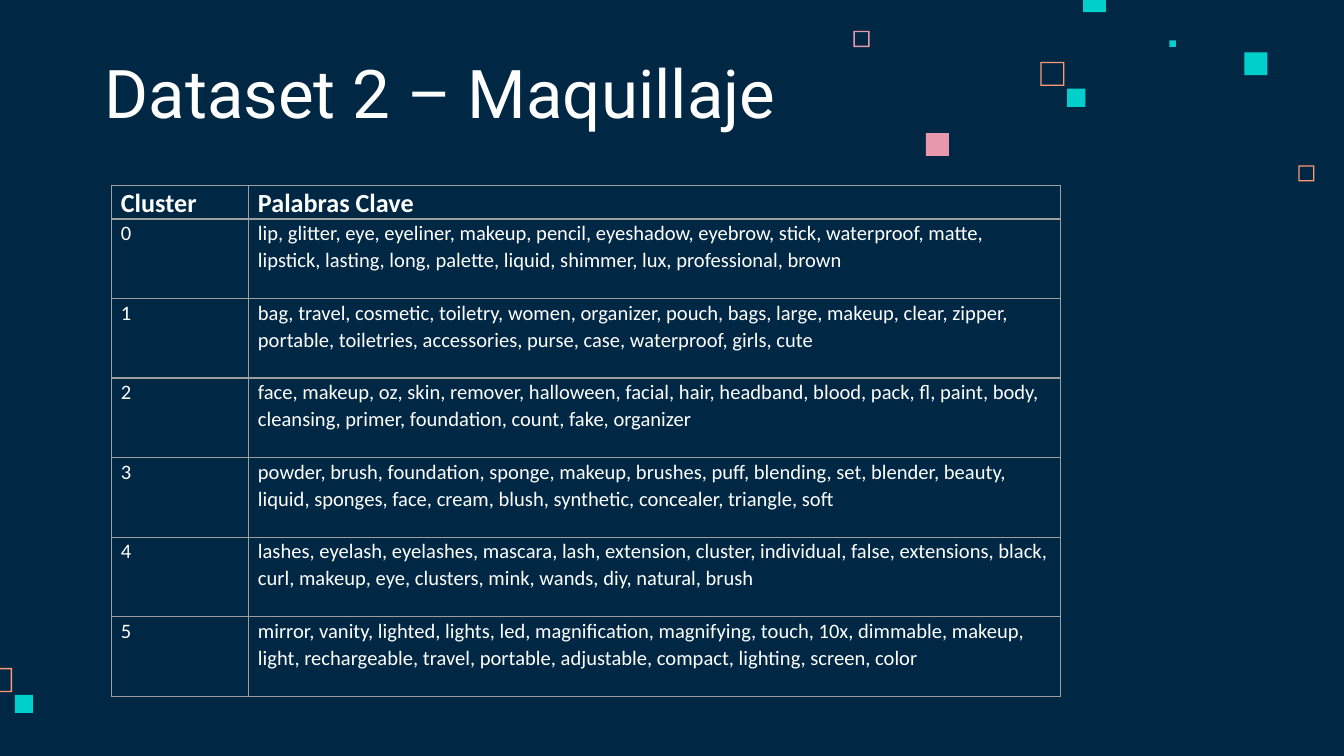
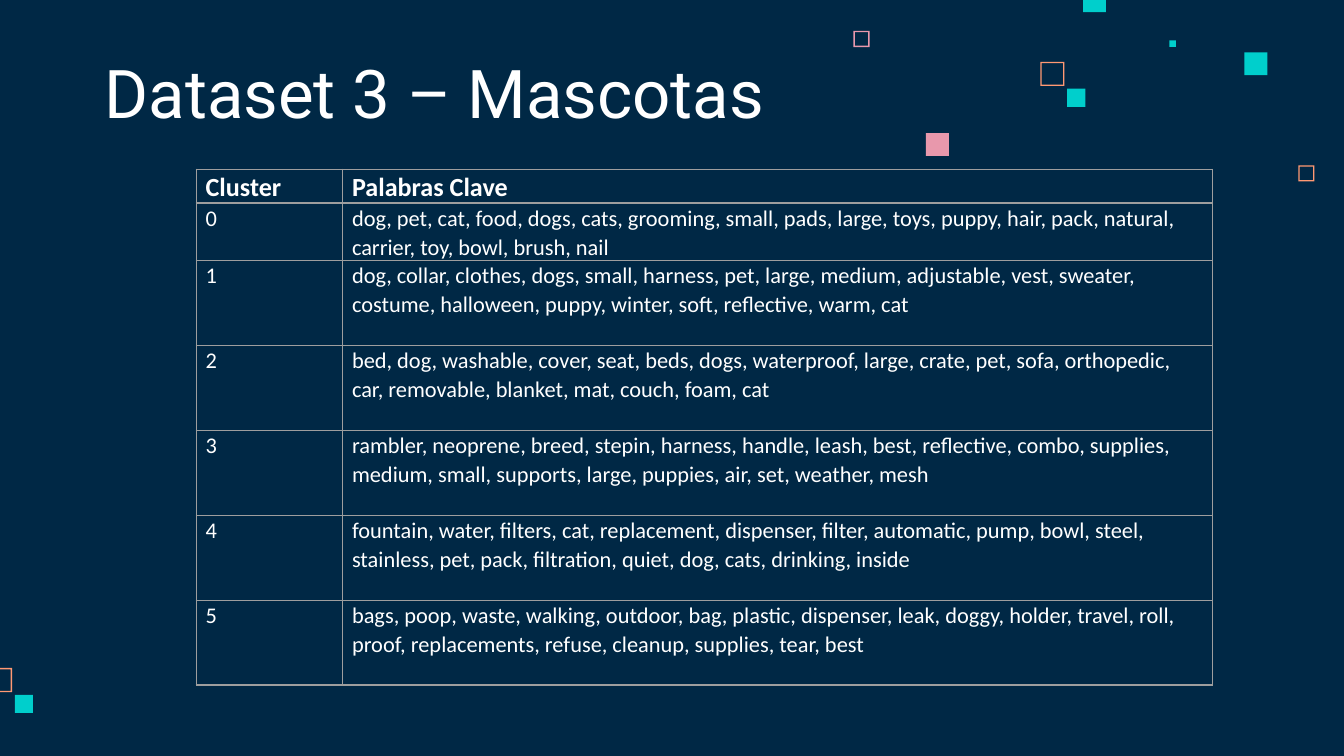
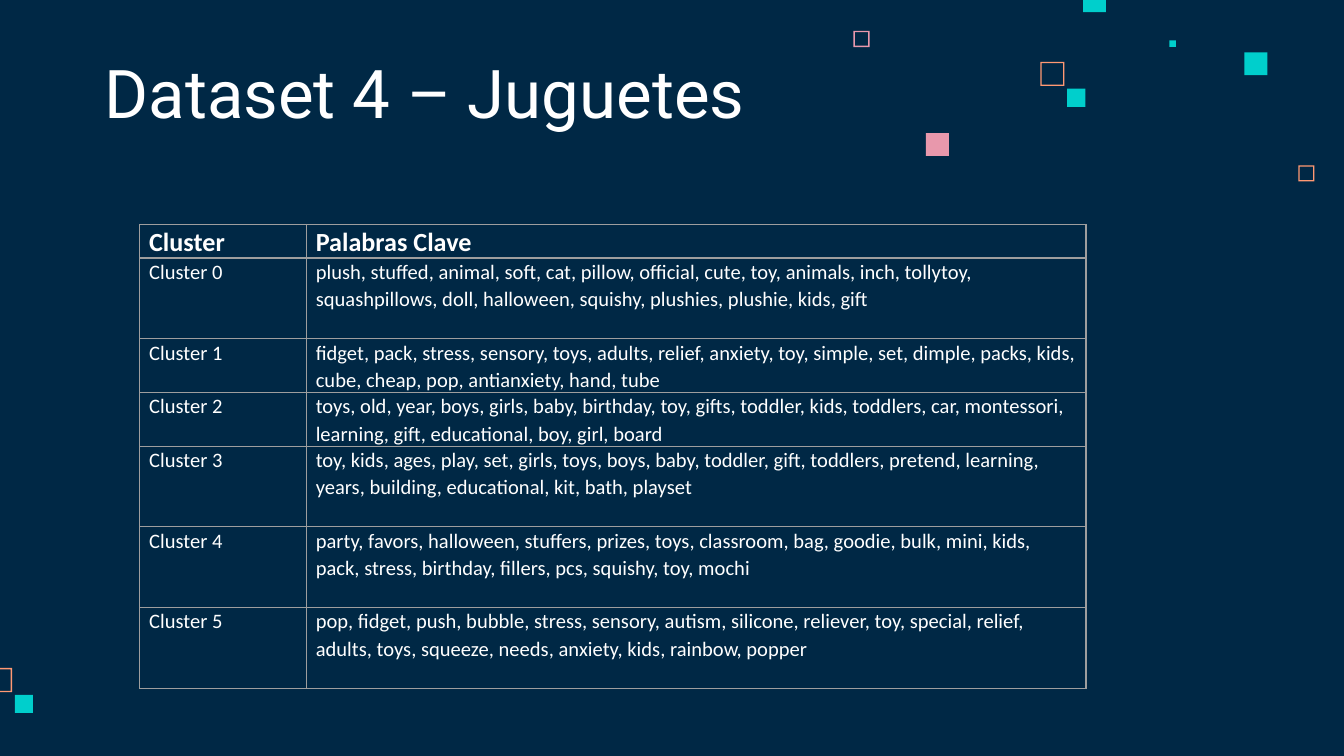
from dataclasses import dataclass

from lxml.etree import SubElement
from pptx import Presentation
from pptx.dml.color import RGBColor
from pptx.enum.shapes import MSO_SHAPE
from pptx.enum.text import MSO_ANCHOR
from pptx.oxml.ns import qn
from pptx.util import Inches, Pt


@dataclass(frozen=True)
class Theme:
    """Colours, fonts and type sizes of the deck."""

    navy: str = "002845"
    white: str = "FFFFFF"
    teal: str = "00CFCC"
    pink: str = "E898AC"
    orange: str = "FF9973"
    rule: str = "9E9E9E"
    title_font: str = "Roboto"
    body_font: str = "Calibri"
    title_size: int = 36
    head_size: int = 14
    rule_width: float = 0.75


THEME = Theme()

FRAMES = [
    (96.6, 12.3, 1.2, THEME.orange),
    (63.5, 2.3, 1.2, THEME.pink),
    (77.4, 4.6, 1.8, THEME.orange),
    (-0.9, 49.7, 1.8, THEME.orange),
]
SQUARES = [
    (87, 3, 0.5, THEME.teal),
    (80.6, -0.8, 1.7, THEME.teal),
    (92.6, 3.9, 1.7, THEME.teal),
    (79.4, 6.6, 1.35, THEME.teal),
    (68.9, 9.9, 1.7, THEME.pink),
    (1.1, 51.7, 1.35, THEME.teal),
]

SLIDES = [
    dict(
        title="Dataset 2 – Maquillaje", at=(8.3, 13.8), cols=(10.2, 60.4),
        rows=[2.4] + [5.92] * 6, size=11, label="{}",
        keywords=[
            "lip, glitter, eye, eyeliner, makeup, pencil, eyeshadow, eyebrow, stick, waterproof, matte, "
            "lipstick, lasting, long, palette, liquid, shimmer, lux, professional, brown",
            "bag, travel, cosmetic, toiletry, women, organizer, pouch, bags, large, makeup, clear, zipper, "
            "portable, toiletries, accessories, purse, case, waterproof, girls, cute",
            "face, makeup, oz, skin, remover, halloween, facial, hair, headband, blood, pack, fl, paint, body, "
            "cleansing, primer, foundation, count, fake, organizer",
            "powder, brush, foundation, sponge, makeup, brushes, puff, blending, set, blender, beauty, "
            "liquid, sponges, face, cream, blush, synthetic, concealer, triangle, soft",
            "lashes, eyelash, eyelashes, mascara, lash, extension, cluster, individual, false, extensions, black, "
            "curl, makeup, eye, clusters, mink, wands, diy, natural, brush",
            "mirror, vanity, lighted, lights, led, magnification, magnifying, touch, 10x, dimmable, makeup, "
            "light, rechargeable, travel, portable, adjustable, compact, lighting, screen, color",
        ],
    ),
    dict(
        title="Dataset 3 – Mascotas", at=(14.6, 12.6), cols=(10.9, 64.7),
        rows=[2.3, 4.2] + [6.32] * 5, size=12, label="{}",
        keywords=[
            "dog, pet, cat, food, dogs, cats, grooming, small, pads, large, toys, puppy, hair, pack, natural, "
            "carrier, toy, bowl, brush, nail",
            "dog, collar, clothes, dogs, small, harness, pet, large, medium, adjustable, vest, sweater, "
            "costume, halloween, puppy, winter, soft, reflective, warm, cat",
            "bed, dog, washable, cover, seat, beds, dogs, waterproof, large, crate, pet, sofa, orthopedic, "
            "car, removable, blanket, mat, couch, foam, cat",
            "rambler, neoprene, breed, stepin, harness, handle, leash, best, reflective, combo, supplies, "
            "medium, small, supports, large, puppies, air, set, weather, mesh",
            "fountain, water, filters, cat, replacement, dispenser, filter, automatic, pump, bowl, steel, "
            "stainless, pet, pack, filtration, quiet, dog, cats, drinking, inside",
            "bags, poop, waste, walking, outdoor, bag, plastic, dispenser, leak, doggy, holder, travel, roll, "
            "proof, replacements, refuse, cleanup, supplies, tear, best",
        ],
    ),
    dict(
        title="Dataset 4 – Juguetes", at=(10.4, 16.7), cols=(12.4, 58),
        rows=[2.4, 6, 4, 4, 6, 6, 6], size=11, label="Cluster {}",
        keywords=[
            "plush, stuffed, animal, soft, cat, pillow, official, cute, toy, animals, inch, tollytoy, "
            "squashpillows, doll, halloween, squishy, plushies, plushie, kids, gift",
            "fidget, pack, stress, sensory, toys, adults, relief, anxiety, toy, simple, set, dimple, packs, "
            "kids, cube, cheap, pop, antianxiety, hand, tube",
            "toys, old, year, boys, girls, baby, birthday, toy, gifts, toddler, kids, toddlers, car, montessori, "
            "learning, gift, educational, boy, girl, board",
            "toy, kids, ages, play, set, girls, toys, boys, baby, toddler, gift, toddlers, pretend, learning, "
            "years, building, educational, kit, bath, playset",
            "party, favors, halloween, stuffers, prizes, toys, classroom, bag, goodie, bulk, mini, kids, "
            "pack, stress, birthday, fillers, pcs, squishy, toy, mochi",
            "pop, fidget, push, bubble, stress, sensory, autism, silicone, reliever, toy, special, relief, "
            "adults, toys, squeeze, needs, anxiety, kids, rainbow, popper",
        ],
    ),
]


class Deck:
    """Holds the theme and the current slide, on a grid 100 columns wide with square cells."""

    def __init__(self, theme):
        """Open a 16:9 presentation."""
        self.theme = theme
        self.prs = Presentation()
        self.prs.slide_width, self.prs.slide_height = Inches(10), Inches(5.625)
        self.s = None

    def grid(self, *cells):
        """Turn counts of grid cells into lengths."""
        return [round(self.prs.slide_width * n / 100) for n in cells]

    def slide(self):
        """Start a slide with the shared background and scattered squares."""
        self.s = self.prs.slides.add_slide(self.prs.slide_layouts[6])
        fill = self.s.background.fill
        fill.solid()
        fill.fore_color.rgb = RGBColor.from_string(self.theme.navy)
        for x, y, side, color in FRAMES:
            frame = self.square(MSO_SHAPE.FRAME, x, y, side, color)
            frame.adjustments[0] = 0.1 / side
        for square in SQUARES:
            self.square(MSO_SHAPE.RECTANGLE, *square)

    def square(self, kind, x, y, side, color):
        """Draw one flat square of the given preset."""
        sp = self.s.shapes.add_shape(kind, *self.grid(x, y, side, side))
        sp.shadow.inherit = False
        sp.fill.solid()
        sp.fill.fore_color.rgb = RGBColor.from_string(color)
        sp.line.fill.background()
        return sp

    def run(self, p, text, font, size, bold=False):
        """Add a white run to a paragraph."""
        r = p.add_run()
        r.text = text
        r.font.name, r.font.size, r.font.bold = font, Pt(size), bold
        r.font.color.rgb = RGBColor.from_string(self.theme.white)

    def title(self, text):
        """Write the slide title."""
        tf = self.s.shapes.add_textbox(*self.grid(6.8, 4.5, 61.8, 6.3)).text_frame
        tf.word_wrap = True
        tf.vertical_anchor = MSO_ANCHOR.BOTTOM
        tf.margin_left = tf.margin_right = tf.margin_top = tf.margin_bottom = Inches(0.1)
        self.run(tf.paragraphs[0], text, self.theme.title_font, self.theme.title_size)

    def table(self, at, cols, rows, size, records):
        """Draw a ruled table whose first record is the bold header."""
        box = self.grid(*at, sum(cols), sum(rows))
        tbl = self.s.shapes.add_table(len(rows), len(cols), *box).table
        tbl.first_row = tbl.horz_banding = False
        for col, width in zip(tbl.columns, self.grid(*cols)):
            col.width = width
        for row, height in zip(tbl.rows, self.grid(*rows)):
            row.height = height
        for i, record in enumerate(records):
            for j, text in enumerate(record):
                self.cell(tbl.cell(i, j), text, size if i else self.theme.head_size, i == 0)

    def cell(self, cell, text, size, bold):
        """Fill in one table cell."""
        cell.margin_left = cell.margin_right = Inches(0.07)
        cell.margin_top = cell.margin_bottom = 0
        self.borders(cell)
        cell.fill.background()
        p = cell.text_frame.paragraphs[0]
        p.line_spacing, p.space_after = 1.07, Pt(8)
        self.run(p, text, self.theme.body_font, size, bold)

    def borders(self, cell):
        """Rule all four sides of a cell."""
        pr = cell._tc.get_or_add_tcPr()
        for side in "LRTB":
            ln = SubElement(pr, qn(f"a:ln{side}"), w=str(Pt(self.theme.rule_width)))
            fill = SubElement(ln, qn("a:solidFill"))
            SubElement(fill, qn("a:srgbClr"), val=self.theme.rule)


def main():
    """Build the three cluster slides."""
    deck = Deck(THEME)
    for data in SLIDES:
        deck.slide()
        deck.title(data["title"])
        records = [("Cluster", "Palabras Clave")]
        records += [(data["label"].format(n), words) for n, words in enumerate(data["keywords"])]
        deck.table(data["at"], data["cols"], data["rows"], data["size"], records)
    deck.prs.save("out.pptx")


if __name__ == "__main__":
    main()
